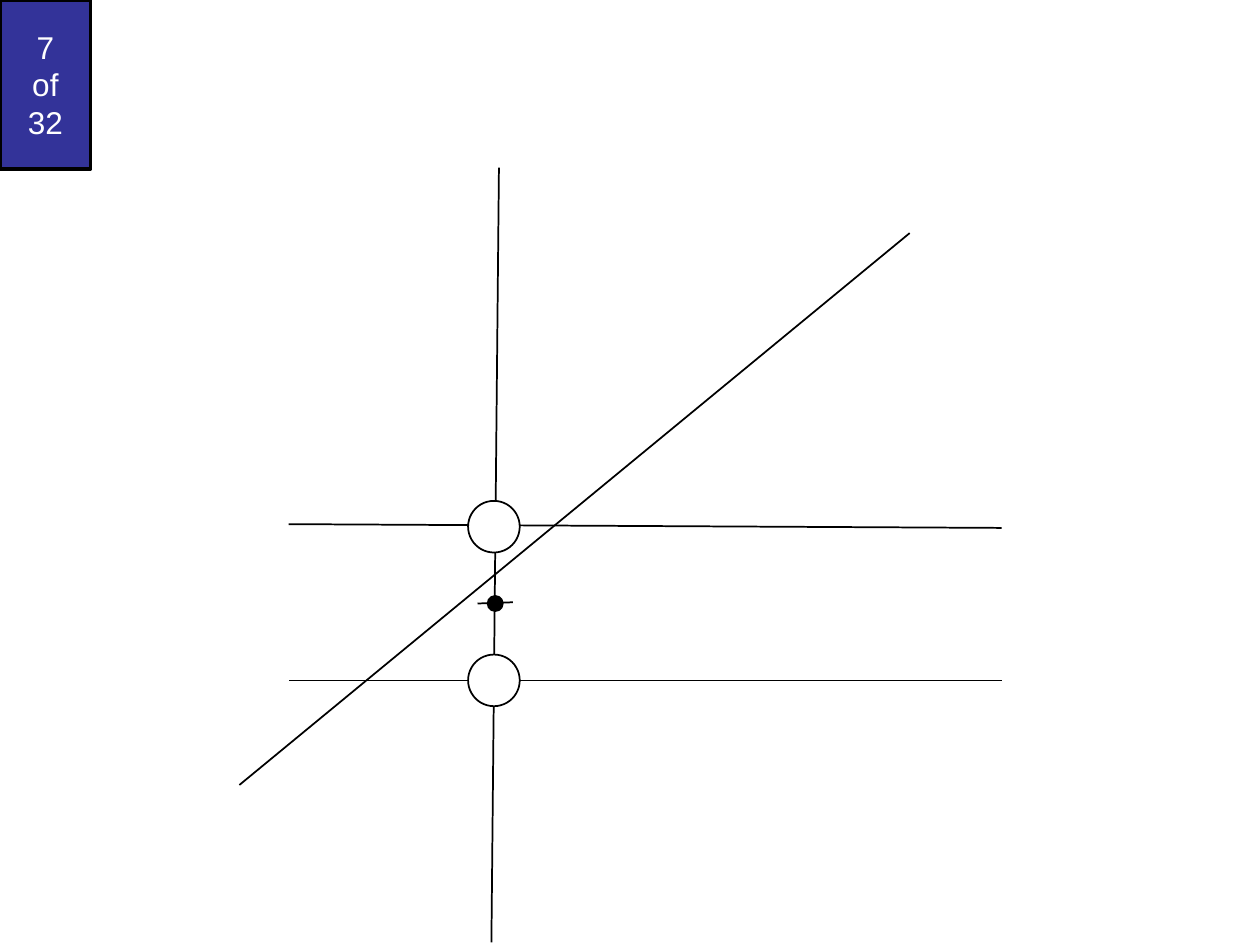
from lxml import etree
from pptx import Presentation
from pptx import util as u
from pptx.dml.color import RGBColor
from pptx.enum import shapes, text
from pptx.oxml.ns import qn

COLORS = {"ink": "000000", "paper": "FFFFFF", "badge": "333399"}
WIDTH, HEIGHT = u.Inches(10), u.Inches(7.5)
COLUMNS, ROWS = 10, 7.5


def column(count):
    """Return the length of a number of grid columns."""
    return round(WIDTH * count / COLUMNS)


def row(count):
    """Return the length of a number of grid rows."""
    return round(HEIGHT * count / ROWS)


def color(name):
    """Return a named colour."""
    return RGBColor.from_string(COLORS[name])


def outline(item, points):
    """Give a shape or connector an ink line."""
    item.line.color.rgb = color("ink")
    item.line.width = u.Pt(points)


def add_filled(parent, kind, left, top, width, height, fill, points=1):
    """Add a filled preset shape measured in grid cells."""
    shape = parent.shapes.add_shape(
        kind, column(left), row(top), column(width), row(height))
    shape.shadow.inherit = False
    shape.fill.solid()
    shape.fill.fore_color.rgb = color(fill)
    outline(shape, points)
    return shape


def add_line(parent, start, end):
    """Add a straight line between two grid points."""
    line = parent.shapes.add_connector(
        shapes.MSO_CONNECTOR.STRAIGHT,
        column(start[0]), row(start[1]), column(end[0]), row(end[1]))
    outline(line, 1)
    etree.SubElement(line._element.spPr, qn("a:effectLst"))


def add_circle(parent, center, diameter, fill):
    """Add a circle around a grid point."""
    left, top = (value - diameter / 2 for value in center)
    add_filled(parent, shapes.MSO_SHAPE.OVAL, left, top, diameter, diameter, fill)


def add_badge(page, label):
    """Add the page counter in the top left corner."""
    box = add_filled(page, shapes.MSO_SHAPE.RECTANGLE, 0, 0, 0.72, 1.34, "badge", 2)
    frame = box.text_frame
    frame.word_wrap = True
    frame.vertical_anchor = text.MSO_ANCHOR.MIDDLE
    para = frame.paragraphs[0]
    para.text = label
    para.alignment = text.PP_ALIGN.CENTER
    para.font.name = "Arial"
    para.font.size = u.Pt(18)
    para.font.color.rgb = color("paper")


def add_midpoint(page, center):
    """Add a grouped dot with a short tick through it."""
    group = page.shapes.add_group_shape()
    x, y = center
    add_line(group, (x - 0.14, y), (x + 0.14, y - 0.01))
    add_circle(group, center, 0.12, "ink")


def main():
    """Build the slide and save the deck."""
    deck = Presentation()
    deck.slide_width, deck.slide_height = WIDTH, HEIGHT
    page = deck.slides.add_slide(deck.slide_layouts[6])
    add_badge(page, "7\vof\v32")
    for start, end in (((7.95, 4.19), (2.29, 4.16)),
                       ((7.95, 5.4), (2.29, 5.4)),
                       ((3.96, 1.33), (3.9, 7.48))):
        add_line(page, start, end)
    for center in ((3.92, 4.18), (3.92, 5.4)):
        add_circle(page, center, 0.41, "paper")
    add_line(page, (1.9, 6.23), (7.22, 1.85))
    add_midpoint(page, (3.93, 4.79))
    deck.save("out.pptx")


if __name__ == "__main__":
    main()
